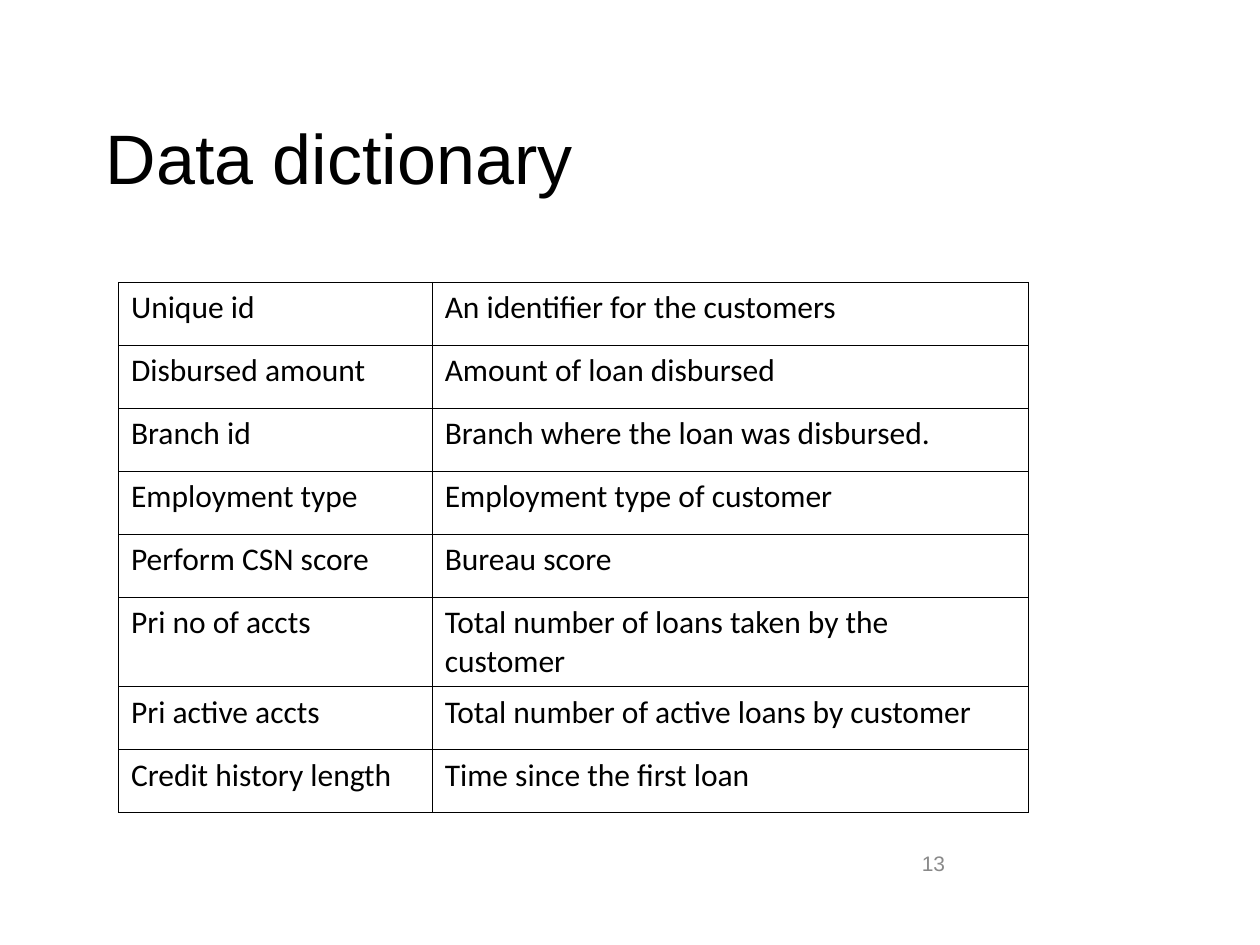
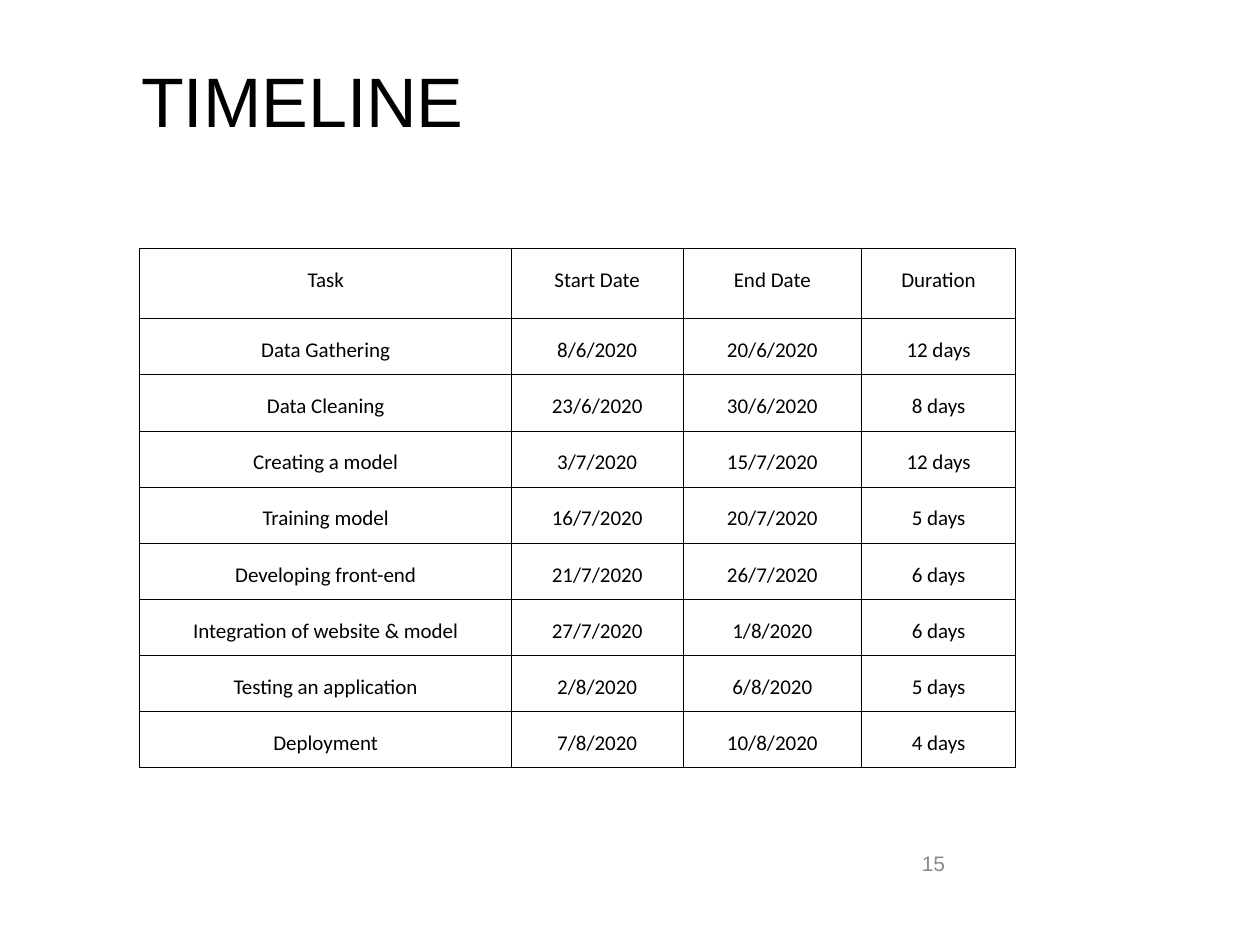
from pptx import Presentation, util as u
from pptx.dml.color import RGBColor
from pptx.enum import text
from pptx.oxml import parse_xml
from pptx.oxml.ns import nsdecls

# Shared look
BLACK, GREY = "000000", "898989"
HEADING_FONT, TABLE_FONT = "Arial", "Calibri"
BORDER = u.Pt(0.45)
LEFT, CENTER, RIGHT = (text.PP_ALIGN.LEFT, text.PP_ALIGN.CENTER,
                       text.PP_ALIGN.RIGHT)

# Slide grid: 100 columns by 75 rows
WIDTH, HEIGHT = u.Inches(10), u.Inches(7.5)
COLUMN, ROW = WIDTH / 100, HEIGHT / 75
TITLE_SIZE = (85, 9)
PAGE_NUMBER_BOX = (52.7, 66.5, 23.3, 4)

DICTIONARY = [
    ("Unique id", "An identifier for the customers"),
    ("Disbursed amount", "Amount of loan disbursed"),
    ("Branch id", "Branch where the loan was disbursed."),
    ("Employment type", "Employment type of customer"),
    ("Perform CSN score", "Bureau score"),
    ("Pri no of accts", "Total number of loans taken by the customer"),
    ("Pri active accts", "Total number of active loans by customer"),
    ("Credit history length", "Time since the first loan"),
]
TIMELINE = [
    ("Task", "Start Date", "End Date", "Duration"),
    ("Data Gathering", "8/6/2020", "20/6/2020", "12 days"),
    ("Data Cleaning", "23/6/2020", "30/6/2020", "8 days"),
    ("Creating a model", "3/7/2020", "15/7/2020", "12 days"),
    ("Training model", "16/7/2020", "20/7/2020", "5 days"),
    ("Developing front-end", "21/7/2020", "26/7/2020", "6 days"),
    ("Integration of website & model", "27/7/2020", "1/8/2020", "6 days"),
    ("Testing an application", "2/8/2020", "6/8/2020", "5 days"),
    ("Deployment", "7/8/2020", "10/8/2020", "4 days"),
]


def color(hex_value):
    return RGBColor.from_string(hex_value)


def on_grid(left, top, width, height):
    return (round(left * COLUMN), round(top * ROW),
            round(width * COLUMN), round(height * ROW))


def write(frame, words, font, size, hex_value, align=LEFT, spacing=None):
    paragraph = frame.paragraphs[0]
    paragraph.alignment = align
    paragraph.line_spacing = spacing
    run = paragraph.add_run()
    run.text = words
    run.font.name = font
    run.font.size = u.Pt(size)
    run.font.color.rgb = color(hex_value)


def add_heading(slide, words, left, top):
    heading = slide.shapes.title
    (heading.left, heading.top,
     heading.width, heading.height) = on_grid(left, top, *TITLE_SIZE)
    frame = heading.text_frame
    frame.auto_size = text.MSO_AUTO_SIZE.NONE
    frame.vertical_anchor = text.MSO_ANCHOR.TOP
    frame.margin_top = u.Inches(0.11)
    write(frame, words, HEADING_FONT, 40, BLACK)


def add_page_number(slide, number):
    frame = slide.shapes.add_textbox(*on_grid(*PAGE_NUMBER_BOX)).text_frame
    frame.word_wrap = True
    frame.vertical_anchor = text.MSO_ANCHOR.MIDDLE
    write(frame, str(number), HEADING_FONT, 12, GREY, RIGHT)


def outline(cell):
    properties = cell._tc.get_or_add_tcPr()
    for side in "LRTB":
        properties.append(parse_xml(
            f'<a:ln{side} {nsdecls("a")} w="{BORDER}"><a:solidFill>'
            f'<a:srgbClr val="{BLACK}"/></a:solidFill></a:ln{side}>'))
    cell.fill.background()


def add_grid_table(slide, entries, left, top, widths, heights, size,
                   side_margin=0.1, align=LEFT, spacing=None):
    box = on_grid(left, top, sum(widths), sum(heights))
    table = slide.shapes.add_table(len(entries), len(widths), *box).table
    table.first_row = table.horz_banding = False
    for column, width in zip(table.columns, widths):
        column.width = round(width * COLUMN)
    for row, height, entry in zip(table.rows, heights, entries):
        row.height = round(height * ROW)
        for cell, words in zip(row.cells, entry):
            outline(cell)
            cell.margin_left = cell.margin_right = u.Inches(side_margin)
            write(cell.text_frame, words, TABLE_FONT, size, BLACK,
                  align, spacing)


def new_slide(deck, heading, left, top, number):
    slide = deck.slides.add_slide(deck.slide_layouts[5])
    add_heading(slide, heading, left, top)
    add_page_number(slide, number)
    return slide


def dictionary_slide(deck):
    slide = new_slide(deck, "Data dictionary", 7.4, 8, 13)
    # The long description takes two lines
    heights = [7.1 if len(meaning) > 40 else 5 for _, meaning in DICTIONARY]
    add_grid_table(slide, DICTIONARY, 9.4, 22.4, (24.9, 47.3), heights, 18)


def timeline_slide(deck):
    slide = new_slide(deck, "TIMELINE", 10.2, 3.5, 15)
    # Taller header row, then equal task rows
    heights = [5.6] + [4.45] * (len(TIMELINE) - 1)
    add_grid_table(slide, TIMELINE, 11.1, 19.7, (29.5, 13.6, 14.2, 12.2),
                   heights, 12, 0.07, CENTER, 1.5)


def main():
    deck = Presentation()
    deck.slide_width, deck.slide_height = WIDTH, HEIGHT
    dictionary_slide(deck)
    timeline_slide(deck)
    deck.save("out.pptx")


if __name__ == "__main__":
    main()
